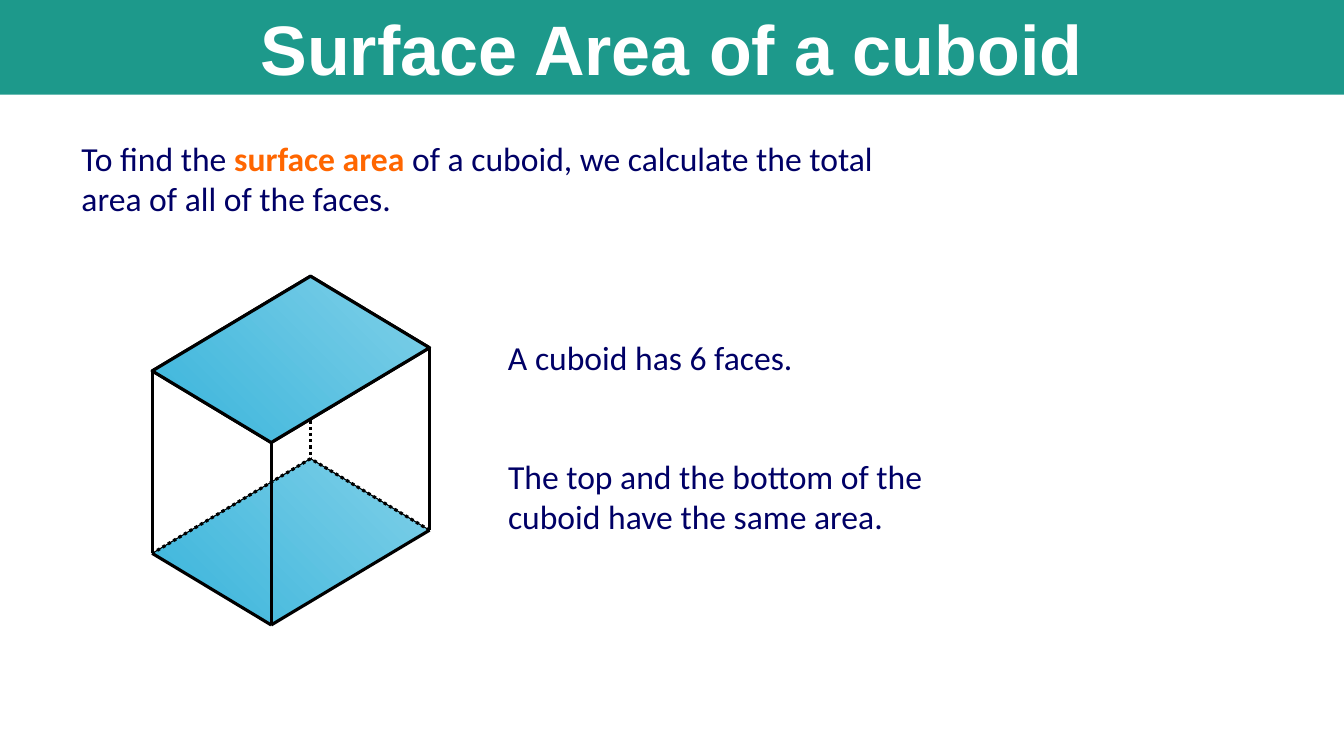
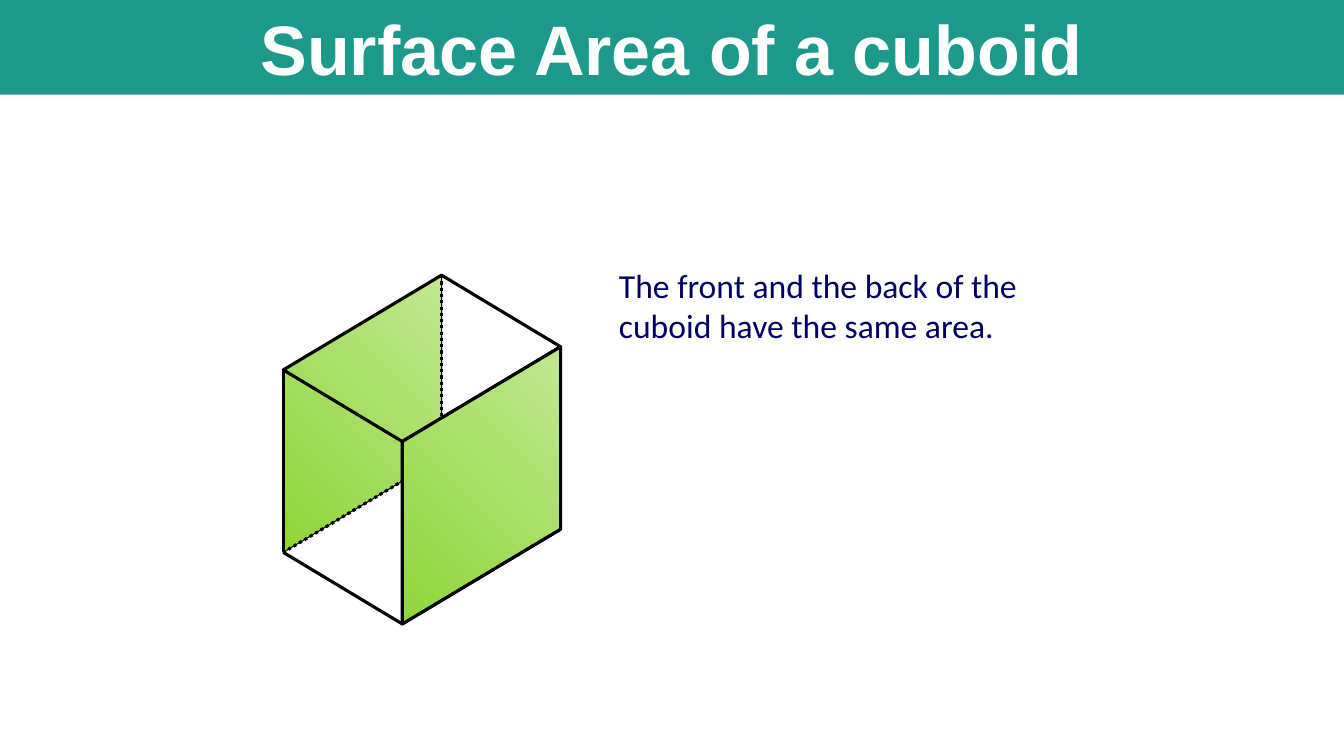
from dataclasses import dataclass

import pptx
import pptx.dml.color
import pptx.enum.dml
import pptx.enum.shapes
import pptx.enum.text
import pptx.oxml
import pptx.oxml.ns
import pptx.util

Inches = pptx.util.Inches
Pt = pptx.util.Pt


@dataclass(frozen=True)
class Theme:
    band: str = "1D998B"
    title: str = "FFFFFF"
    text: str = "000066"
    accent: str = "FF6600"
    edge: str = "000000"
    blue: tuple = ("39B4DB", "80D0E8")
    green: tuple = ("8FD63A", "C0E890")
    title_font: str = "Arial"
    text_font: str = "Calibri"
    title_size: int = 50
    text_size: int = 24
    edge_width: float = 2.25
    far_face_width: float = 0.75


THEME = Theme()
SLIDE_WIDTH, SLIDE_HEIGHT, BAND_HEIGHT = 13.33, 7.5, 0.94
TITLE = "Surface Area of a cuboid"

# Cuboid corners, measured from the left and top of its bounding box.
CUBOID_HEIGHT = 1.81
TOP_CORNERS = {
    "back": (1.57, 0),
    "left": (0, 0.94),
    "front": (1.18, 1.65),
    "right": (2.75, 0.71),
}
CORNERS = {("top", name): point for name, point in TOP_CORNERS.items()}
CORNERS |= {("bottom", name): (x, y + CUBOID_HEIGHT)
            for name, (x, y) in TOP_CORNERS.items()}

TOP_FACE = [("top", name) for name in TOP_CORNERS]
BOTTOM_FACE = [("bottom", name) for name in TOP_CORNERS]
BACK_FACE = [("top", "back"), ("top", "left"), ("bottom", "left"), ("bottom", "back")]
FRONT_FACE = [("top", "right"), ("top", "front"), ("bottom", "front"), ("bottom", "right")]

BOTTOM_EDGES = list(zip(BOTTOM_FACE, BOTTOM_FACE[1:] + BOTTOM_FACE[:1]))
EDGES = BOTTOM_EDGES + list(zip(TOP_FACE, BOTTOM_FACE))

# Each text: left, top, width, height, runs of (words, emphasised).
SLIDES = [
    {
        "cuboid": (1.51, 2.74),
        "faces": (BOTTOM_FACE, TOP_FACE),
        "colours": THEME.blue,
        "texts": [
            (0.71, 1.32, 8.62, 0.91, [
                ("To find the ", False),
                ("surface area", True),
                (" of a cuboid, we calculate the total area of all of the faces.", False),
            ]),
            (4.94, 3.29, 4.2, 0.5, [("A cuboid has 6 faces.", False)]),
            (4.94, 4.47, 5.15, 0.91, [
                ("The top and the bottom of the cuboid have the same area.", False)]),
        ],
    },
    {
        "cuboid": (2.81, 2.73),
        "faces": (BACK_FACE, FRONT_FACE),
        "colours": THEME.green,
        "texts": [
            (6.04, 2.58, 4.91, 0.91, [
                ("The front and the back of the cuboid have the same area.", False)]),
        ],
    },
]


def rgb(colour):
    return pptx.dml.color.RGBColor.from_string(colour)


def add_run(paragraph, text, *, font, size, colour, bold=False):
    run = paragraph.add_run()
    run.text = text
    run.font.name = font
    run.font.size = Pt(size)
    run.font.bold = bold
    run.font.color.rgb = rgb(colour)


def place(shape, left, top, width, height):
    shape.left, shape.top = Inches(left), Inches(top)
    shape.width, shape.height = Inches(width), Inches(height)


def add_title(slide):
    title = slide.shapes.title
    place(title, 0, 0, SLIDE_WIDTH, BAND_HEIGHT)
    title.fill.solid()
    title.fill.fore_color.rgb = rgb(THEME.band)
    frame = title.text_frame
    frame.auto_size = pptx.enum.text.MSO_AUTO_SIZE.NONE
    frame.vertical_anchor = pptx.enum.text.MSO_ANCHOR.MIDDLE
    paragraph = frame.paragraphs[0]
    paragraph.alignment = pptx.enum.text.PP_ALIGN.CENTER
    add_run(paragraph, TITLE, font=THEME.title_font, size=THEME.title_size,
            colour=THEME.title, bold=True)


def add_text(slide, left, top, width, height, runs):
    box = slide.shapes.add_textbox(*map(Inches, (left, top, width, height)))
    box.text_frame.word_wrap = True
    paragraph = box.text_frame.paragraphs[0]
    for words, emphasised in runs:
        add_run(paragraph, words, font=THEME.text_font, size=THEME.text_size,
                colour=THEME.accent if emphasised else THEME.text, bold=emphasised)


def corner_position(origin, corner):
    return tuple(Inches(start + offset) for start, offset in zip(origin, CORNERS[corner]))


def style_line(line, width):
    line.color.rgb = rgb(THEME.edge)
    line.width = Pt(width)


def add_face(slide, origin, corners, *, colours=None, line_width=THEME.edge_width):
    """Draw a face with a diagonal gradient, or only its outline without colours."""
    points = [corner_position(origin, corner) for corner in corners]
    builder = slide.shapes.build_freeform(*points[0])
    builder.add_line_segments(points[1:], close=True)
    face = builder.convert_to_shape()
    face.shadow.inherit = False
    style_line(face.line, line_width)
    if colours is None:
        face.fill.background()
        return
    face.fill.gradient()
    face.fill.gradient_angle = 45
    for stop, colour, position in zip(face.fill.gradient_stops, colours, (0, 1)):
        stop.color.rgb = rgb(colour)
        stop.position = position


def add_edge(slide, origin, start, end):
    edge = slide.shapes.add_connector(
        pptx.enum.shapes.MSO_CONNECTOR.STRAIGHT,
        *corner_position(origin, start), *corner_position(origin, end))
    style_line(edge.line, THEME.edge_width)
    if ("bottom", "back") in (start, end):
        edge.line.dash_style = pptx.enum.dml.MSO_LINE.ROUND_DOT
    properties = edge._element.spPr
    properties.append(pptx.oxml.parse_xml(
        f"<a:effectLst {pptx.oxml.ns.nsdecls('a')}/>"))


def add_cuboid(slide, origin, faces, colours):
    far_face, near_face = faces
    add_face(slide, origin, far_face, colours=colours, line_width=THEME.far_face_width)
    for start, end in EDGES:
        add_edge(slide, origin, start, end)
    add_face(slide, origin, TOP_FACE)
    add_face(slide, origin, near_face, colours=colours)


def main():
    presentation = pptx.Presentation()
    presentation.slide_width = Inches(SLIDE_WIDTH)
    presentation.slide_height = Inches(SLIDE_HEIGHT)
    title_only = presentation.slide_layouts.get_by_name("Title Only")
    for content in SLIDES:
        slide = presentation.slides.add_slide(title_only)
        add_title(slide)
        add_cuboid(slide, content["cuboid"], content["faces"], content["colours"])
        for text in content["texts"]:
            add_text(slide, *text)
    presentation.save("out.pptx")


if __name__ == "__main__":
    main()
